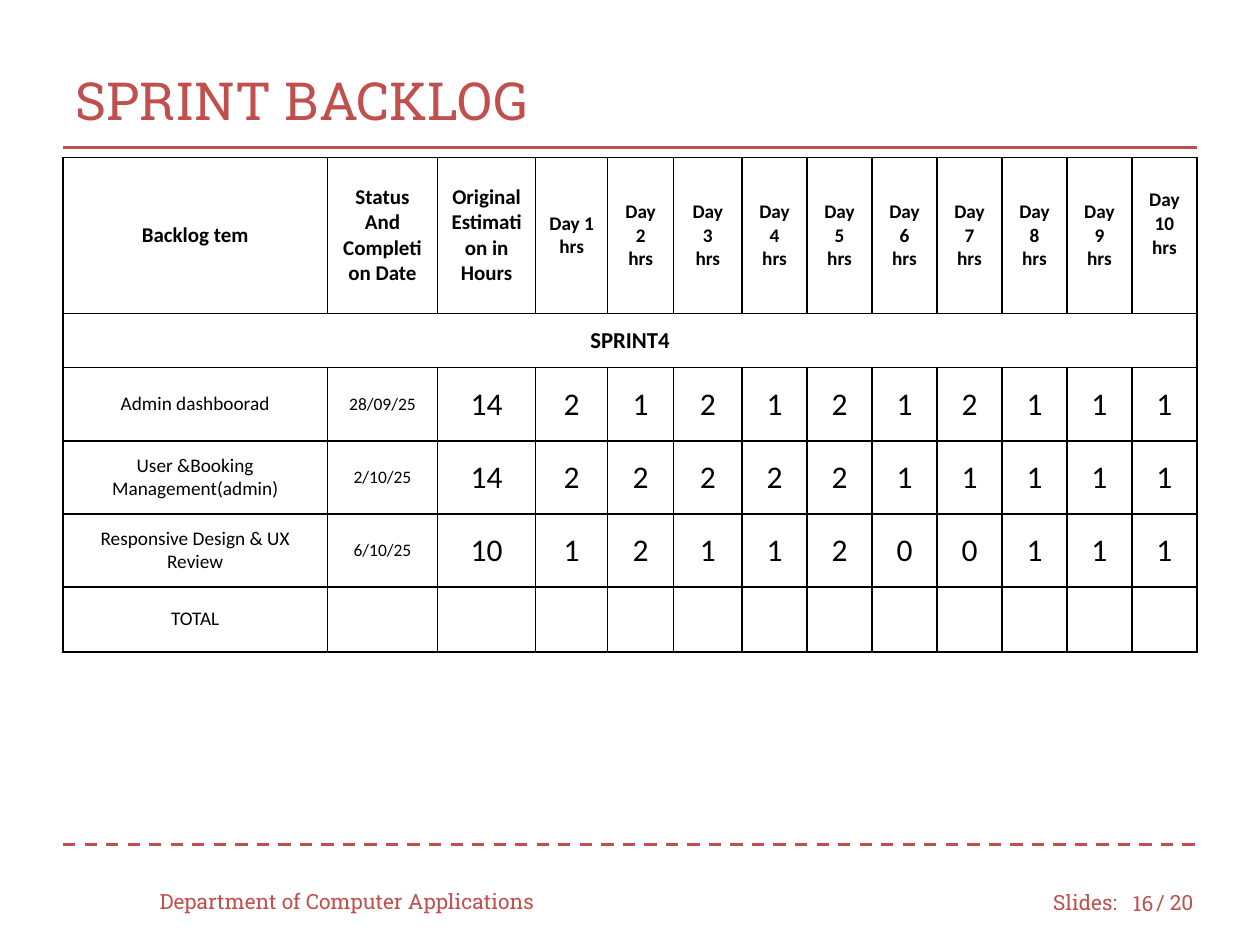
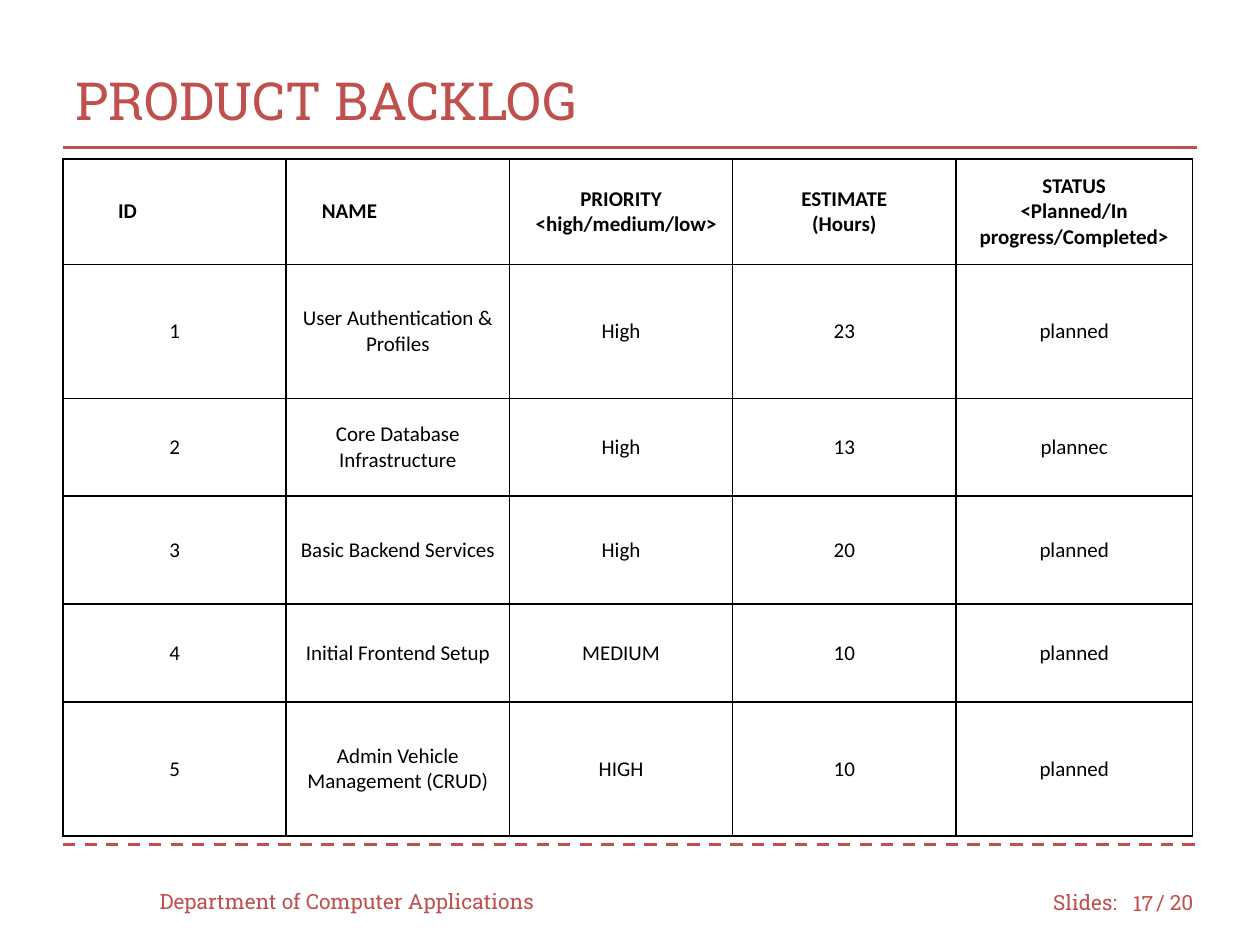
from dataclasses import dataclass

from lxml import etree
from pptx import Presentation
from pptx.dml.color import RGBColor
from pptx.enum.dml import MSO_LINE
from pptx.enum.shapes import MSO_CONNECTOR
from pptx.enum.text import MSO_ANCHOR, PP_ALIGN
from pptx.oxml.ns import qn
from pptx.util import Cm, Pt

LEFT, CENTER, RIGHT = PP_ALIGN.LEFT, PP_ALIGN.CENTER, PP_ALIGN.RIGHT
MIDDLE = MSO_ANCHOR.MIDDLE
STRAIGHT = MSO_CONNECTOR.STRAIGHT
DASH = MSO_LINE.DASH
TITLE_ONLY = 5


@dataclass(frozen=True)
class Theme:
    accent: str = "C0504D"
    ink: str = "000000"
    paper: str = "FFFFFF"
    display_font: str = "Roboto Slab"
    table_font: str = "Calibri"
    title_size: int = 30
    footer_size: int = 12
    rule_width: float = 1.75
    border_width: float = 1
    hours_size: int = 18
    sprint_size: int = 13
    header_size: int = 12
    item_size: int = 11
    date_size: int = 10


THEME = Theme()
PAGE_WIDTH, PAGE_HEIGHT = 25.4, 19.05
MARGIN = 1.27
RULE_WIDTH = PAGE_WIDTH - 2 * MARGIN
CELL_INSET = 0.25
FIRST_PAGE, LAST_PAGE = 16, 20

SPRINT_HEADERS = [
    "Backlog tem", "Status And Completion Date", "Original Estimation in Hours",
    "Day 1\nhrs", "Day 2\nhrs", "Day\n3\nhrs", "Day\n4\nhrs", "Day\n5\nhrs",
    *(f"Day {day}\nhrs" for day in range(6, 11)),
]
SPRINT_ITEMS = [
    ["Admin dashboorad", "28/09/25", 14, 2, 1, 2, 1, 2, 1, 2, 1, 1, 1],
    ["User &Booking Management(admin)", "2/10/25", 14, 2, 2, 2, 2, 2, 1, 1, 1, 1, 1],
    ["Responsive Design & UX Review", "6/10/25", 10, 1, 2, 1, 1, 2, 0, 0, 1, 1, 1],
    ["TOTAL"] + [""] * 12,
]
SPRINT_COLUMNS = [5.33, 2.22, 1.98, 1.45, 1.33, 1.38] + [1.31] * 7
SPRINT_ROWS = [3.15, 1.09, 1.48, 1.47, 1.47, 1.31]

PRODUCT_HEADERS = [
    "ID", "NAME", "PRIORITY\n<high/medium/low>", "ESTIMATE\n(Hours)",
    "STATUS\n<Planned/In progress/Completed>",
]
PRODUCT_ITEMS = [
    [1, "User Authentication & Profiles", "High", 23, "planned"],
    [2, "Core Database Infrastructure", "High", 13, "plannec"],
    [3, "Basic Backend Services", "High", 20, "planned"],
    [4, "Initial Frontend Setup", "MEDIUM", 10, "planned"],
    [5, "Admin Vehicle Management (CRUD)", "HIGH", 10, "planned"],
]
PRODUCT_COLUMNS = [4.5] * 4 + [4.77]
PRODUCT_ROWS = [2.12, 2.7, 1.97, 2.18, 1.97, 2.7]


def color(value):
    return RGBColor.from_string(value)


def style_text(frame, font, size, ink, align, bold=False):
    for para in frame.paragraphs:
        para.alignment = align
        for span in para.runs:
            span.font.name = font
            span.font.size = Pt(size)
            span.font.bold = bold
            span.font.color.rgb = color(ink)


def add_label(page, text, left, top, width, align=LEFT):
    box = page.shapes.add_textbox(Cm(left), Cm(top), Cm(width), Cm(1.02))
    frame = box.text_frame
    frame.word_wrap = True
    frame.vertical_anchor = MIDDLE
    frame.text = text
    style_text(frame, THEME.display_font, THEME.footer_size, THEME.accent, align)


def add_rule(page, top, dash=None):
    rule = page.shapes.add_connector(
        STRAIGHT, Cm(MARGIN), Cm(top), Cm(MARGIN + RULE_WIDTH), Cm(top))
    rule.line.color.rgb = color(THEME.accent)
    rule.line.width = Pt(THEME.rule_width)
    if dash:
        rule.line.dash_style = dash
    etree.SubElement(rule._element.spPr, qn("a:effectLst"))


def add_title(page, text):
    title = page.shapes.title
    title.left, title.top = Cm(MARGIN), Cm(0.84)
    title.width, title.height = Cm(RULE_WIDTH), Cm(2.34)
    title.text_frame.text = text
    title.text_frame.vertical_anchor = MIDDLE
    style_text(title.text_frame, THEME.display_font, THEME.title_size,
               THEME.accent, LEFT)


def add_footer(page, number, top=17.68):
    add_label(page, "Department of Computer Applications", 2.97, top - 0.03, 8.46)
    add_label(page, "Slides:", 20.98, top, 1.9)
    add_label(page, str(number), 22.43, top + 0.02, 1.07, RIGHT)
    add_label(page, f"/ {LAST_PAGE}", 23.06, top, 1.47)


def add_page(deck, title, number):
    page = deck.slides.add_slide(deck.slide_layouts[TITLE_ONLY])
    add_title(page, title)
    add_rule(page, 2.97)
    add_rule(page, 17.02, DASH)
    add_footer(page, number)
    return page


def add_borders(cell):
    properties = cell._tc.get_or_add_tcPr()
    for side in ("lnL", "lnR", "lnT", "lnB"):
        line = etree.SubElement(properties, qn(f"a:{side}"),
                                w=str(Pt(THEME.border_width)))
        fill = etree.SubElement(line, qn("a:solidFill"))
        etree.SubElement(fill, qn("a:srgbClr"), val=THEME.ink)


def add_grid(page, top, columns, rows):
    """Add an empty bordered table with the given column widths and row heights."""
    grid = page.shapes.add_table(
        len(rows), len(columns), Cm(MARGIN), Cm(top),
        Cm(sum(columns)), Cm(sum(rows))).table
    grid.first_row = grid.horz_banding = False
    for column, width in zip(grid.columns, columns):
        column.width = Cm(width)
    for row, height in zip(grid.rows, rows):
        row.height = Cm(height)
    for cell in grid.iter_cells():
        add_borders(cell)
        cell.fill.solid()
        cell.fill.fore_color.rgb = color(THEME.paper)
        cell.vertical_anchor = MIDDLE
        cell.margin_left = cell.margin_right = Cm(CELL_INSET)
        cell.margin_top = cell.margin_bottom = Cm(CELL_INSET)
    return grid


def fill_row(grid, row, values, sizes, bold=False):
    for column, (value, size) in enumerate(zip(values, sizes)):
        frame = grid.cell(row, column).text_frame
        frame.text = str(value)
        style_text(frame, THEME.table_font, size, THEME.ink, CENTER, bold)


def indent_left(para, indent):
    para.alignment = LEFT
    para._p.get_or_add_pPr().set("marL", str(Cm(indent)))


def add_sprint_table(page, top):
    grid = add_grid(page, top, SPRINT_COLUMNS, SPRINT_ROWS)
    days = len(SPRINT_COLUMNS) - 3
    header_sizes = [THEME.header_size] * 3 + [THEME.item_size] * days
    item_sizes = [THEME.item_size, THEME.date_size] + [THEME.hours_size] * (days + 1)
    fill_row(grid, 0, SPRINT_HEADERS, header_sizes, bold=True)
    last_column = len(SPRINT_COLUMNS) - 1
    grid.cell(0, last_column).margin_bottom = Cm(CELL_INSET + 0.47)
    grid.cell(1, 0).merge(grid.cell(1, last_column))
    fill_row(grid, 1, ["SPRINT4"], [THEME.sprint_size], bold=True)
    for row, item in enumerate(SPRINT_ITEMS, start=2):
        fill_row(grid, row, item, item_sizes)


def add_product_table(page, top):
    grid = add_grid(page, top, PRODUCT_COLUMNS, PRODUCT_ROWS)
    sizes = [THEME.header_size] * len(PRODUCT_COLUMNS)
    fill_row(grid, 0, PRODUCT_HEADERS, sizes, bold=True)
    for column, indent in enumerate([0.86, 0.47, 0.28]):
        indent_left(grid.cell(0, column).text_frame.paragraphs[-1], indent)
    for row, item in enumerate(PRODUCT_ITEMS, start=1):
        fill_row(grid, row, item, sizes)


def main():
    deck = Presentation()
    deck.slide_width, deck.slide_height = Cm(PAGE_WIDTH), Cm(PAGE_HEIGHT)
    add_sprint_table(add_page(deck, "SPRINT BACKLOG", FIRST_PAGE), 3.17)
    add_product_table(add_page(deck, "PRODUCT BACKLOG", FIRST_PAGE + 1), 3.21)
    deck.save("out.pptx")


if __name__ == "__main__":
    main()
